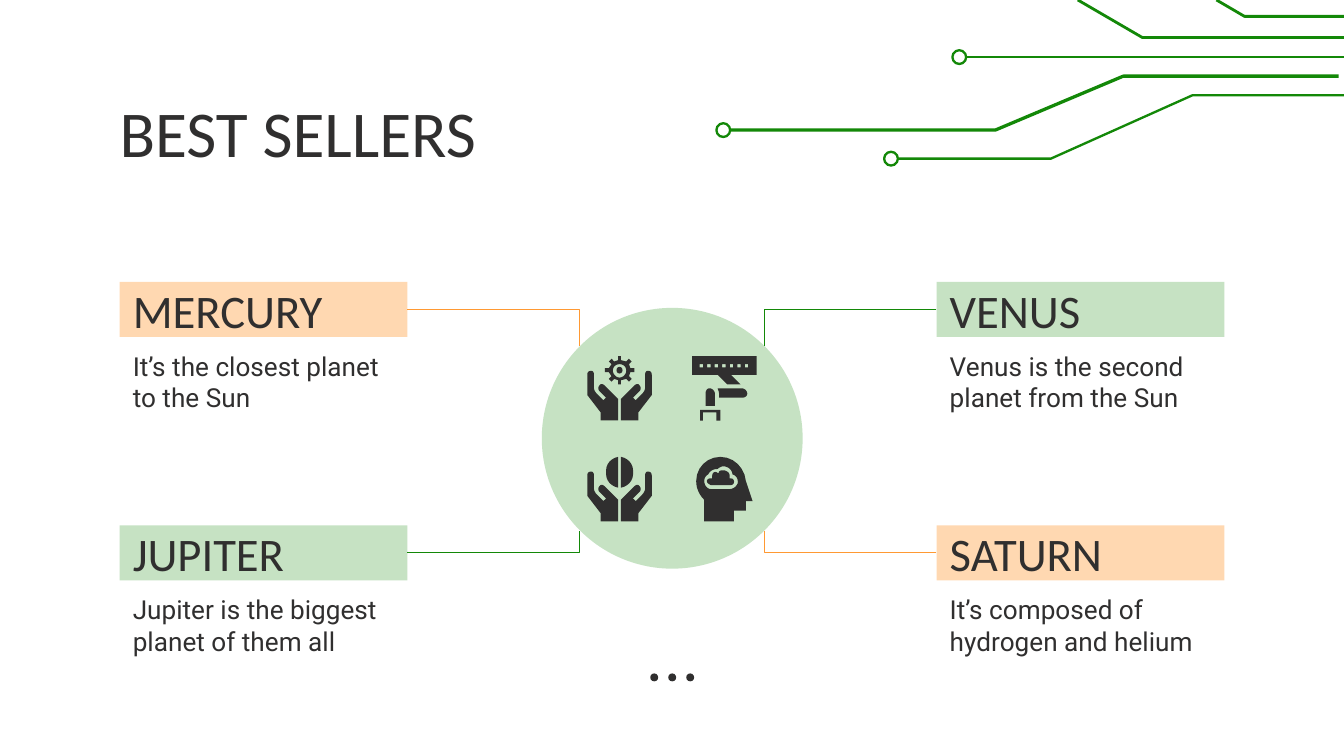
from lxml import etree
from pptx import Presentation
from pptx.dml.color import RGBColor
from pptx.enum.shapes import MSO_CONNECTOR as CONN, MSO_SHAPE as SHAPE
from pptx.enum.text import MSO_ANCHOR as ANCHOR
from pptx.oxml.ns import qn
from pptx.util import Cm, Pt

COLORS = {"ink": "302F2F", "green": "138808", "orange": "FF9933"}
ALPHA = {"green": 24, "orange": 38}
UNIT = 0.0254


def paint(sp, fill=None, alpha=None, line=None, width=1):
    sp.shadow.inherit = False
    if fill:
        sp.fill.solid()
        sp.fill.fore_color.rgb = RGBColor.from_string(COLORS[fill])
        if alpha:
            clr = sp._element.spPr.find(qn("a:solidFill"))[0]
            etree.SubElement(clr, qn("a:alpha")).set("val", str(alpha * 1000))
    else:
        sp.fill.background()
    if line:
        sp.line.color.rgb = RGBColor.from_string(COLORS[line])
        sp.line.width = Pt(width)
    else:
        sp.line.fill.background()


def draw_icon(outline, dy=0, mirror=None):
    contours = []
    for part in outline.split("M")[1:]:
        pts = []
        for step in part.replace("L", "|L").replace("C", "|C").split("|"):
            n = [float(v) for v in step.strip("LC ").split()]
            pairs = list(zip(n[::2], n[1::2]))
            if step.startswith("C"):
                a, (b, c, d) = pts[-1], pairs
                for t in (k / 6 for k in range(1, 7)):
                    u = 1 - t
                    pts.append(tuple(
                        u**3 * a[i] + 3 * u * u * t * b[i] + 3 * u * t * t * c[i] + t**3 * d[i]
                        for i in (0, 1)))
            else:
                pts += pairs
        contours.append([(Cm((mirror - x if mirror else x) * UNIT), Cm((y + dy) * UNIT))
                         for x, y in pts])
    fb = s.shapes.build_freeform(*contours[0][0], scale=1.0)
    fb.add_line_segments(contours[0][1:], close=True)
    for pts in contours[1:]:
        fb.move_to(*pts[0])
        fb.add_line_segments(pts[1:], close=True)
    paint(fb.convert_to_shape(), "ink")


prs = Presentation()
prs.slide_width, prs.slide_height = Cm(25.4), Cm(14.29)
s = prs.slides.add_slide(prs.slide_layouts[6])

for i in range(3):
    dot = s.shapes.add_shape(SHAPE.OVAL, Cm(12.29 + 0.34 * i), Cm(12.73), Cm(0.15), Cm(0.15))
    paint(dot, "ink")

traces = [
    (1.5, [(20.37, 0), (21.59, 0.71), (25.4, 0.71)]),
    (1.5, [(22.99, 0), (23.52, 0.31), (25.4, 0.31)]),
    (1.75, [(13.8, 2.46), (18.81, 2.46), (21.23, 1.44), (25.3, 1.44)]),
    (1.25, [(16.99, 3), (19.86, 3), (22.54, 1.8), (25.4, 1.8)]),
]
for width, pts in traces:
    pts = [(Cm(x), Cm(y)) for x, y in pts]
    fb = s.shapes.build_freeform(*pts[0], scale=1.0)
    fb.add_line_segments(pts[1:], close=False)
    paint(fb.convert_to_shape(), line="green", width=width)

for x, y in [(18.13, 1.08), (13.67, 2.46), (16.84, 3)]:
    ring = s.shapes.add_shape(SHAPE.OVAL, Cm(x - 0.13), Cm(y - 0.13), Cm(0.26), Cm(0.26))
    paint(ring, line="green", width=1.25)

circle = s.shapes.add_shape(SHAPE.OVAL, Cm(10.24), Cm(5.82), Cm(4.93), Cm(4.93))
paint(circle, "green", ALPHA["green"])

texts = [("BEST SELLERS", 2.01, 1.5, 21.41, 1.6, 35, "Calibri", None)]
links = [(18.26, 1.08, 25.4, 1.08, "green", 1.25, "line")]
planets = [
    ("MERCURY", "It’s the closest planet to the Sun", "orange"),
    ("VENUS", "Venus is the second planet from the Sun", "green"),
    ("JUPITER", "Jupiter is the biggest planet of them all", "green"),
    ("SATURN", "It’s composed of hydrogen and helium", "orange"),
]
for i, (name, fact, color) in enumerate(planets):
    row, col = divmod(i, 2)
    x, y = (2.26, 17.7)[col], (5.33, 9.93)[row]
    texts.append((name, x, y, 5.44, 1.04, 25, "Calibri", color))
    texts.append((fact, x, y + 1.04, 5.44, 1.35, 14, "Roboto", None))
    links.append(((7.7, 17.7)[col], y + 0.52, (10.95, 14.45)[col], (6.55, 10.03)[row],
                  color, 0.75, "bentConnector2"))

for text, x, y, w, h, size, font, color in texts:
    box = (Cm(x), Cm(y), Cm(w), Cm(h))
    if color:
        sp = s.shapes.add_shape(SHAPE.RECTANGLE, *box)
        paint(sp, color, ALPHA[color])
    else:
        sp = s.shapes.add_textbox(*box)
    tf = sp.text_frame
    tf.word_wrap = True
    tf.vertical_anchor = ANCHOR.MIDDLE if color else ANCHOR.TOP
    tf.margin_left = tf.margin_right = Cm(0.25)
    tf.margin_top = tf.margin_bottom = Cm(0 if color else 0.25)
    p = tf.paragraphs[0]
    p.alignment = 1
    r = p.add_run()
    r.text = text
    r.font.size = Pt(size)
    r.font.name = font
    r.font.color.rgb = RGBColor.from_string(COLORS["ink"])

hand = ("M440 351 C438 351 437 352 437 354 L437 369 L447 382 L447 388 L460 388 L460 372 "
        "L450 362 C449 361 447 360 446 362 C445 363 445 365 446 366 L451 371 L449 373 "
        "L444 368 C443 367 442 365 442 364 L442 354 C442 352 441 351 440 351")
half_pill = "M460 340 C455 341 451 345 451 350 L451 353 C451 358 455 362 460 363"
for mirror in (None, 922):
    draw_icon(half_pill, mirror=mirror)
    for dy in (0, -75):
        draw_icon(hand, dy, mirror)

draw_icon("M461 273 C458 273 458 278 461 278 C464 278 464 273 461 273")
draw_icon("M461 271 C464 271 466 273 466 276 C466 278 464 281 461 281 "
          "C458 281 456 278 456 276 C456 273 458 271 461 271 "
          "M460 265 L460 268 L457 269 L455 267 L453 269 L455 271 L453 274 L450 274 "
          "L450 277 L453 277 L455 280 L453 282 L455 284 L457 282 L460 283 L460 286 "
          "L462 286 L462 283 L466 282 L468 284 L470 282 L468 280 L469 277 L472 277 "
          "L472 274 L469 274 L468 271 L470 269 L468 267 L466 269 L462 268 L462 265")

draw_icon("M538 350 C537 350 536 350 535 351 L535 352 L534 352 C532 350 530 352 530 354 "
          "L530 356 L529 356 C527 356 526 357 526 358 C526 360 529 361 529 361 L544 361 "
          "C547 361 547 356 544 356 L543 356 L543 354 C543 352 541 350 538 350")
draw_icon("M538 347 C542 347 545 350 545 353 C548 354 549 356 549 359 C549 361 546 364 543 364 "
          "L529 364 C526 364 524 361 524 358 C524 356 525 354 527 353 C528 351 530 349 534 349 "
          "C535 348 537 347 538 347 "
          "M536 340 C526 340 518 348 518 358 C518 363 520 368 524 372 L524 388 L546 388 "
          "L546 380 L555 380 L555 373 L560 373 L555 358 C554 348 546 340 536 340")

windows = " ".join(f"M{x} 271 L{x + 2.5} 271 L{x + 2.5} 273.5 L{x} 273.5"
                   for x in (520.6 + 5.6 * i for i in range(7)))
draw_icon("M515 265 L515 279 L534 279 L541 286 L551 286 L544 279 L563 279 L563 265 " + windows)
draw_icon("M521 305 L521 313 L523 313 L523 307 L533 307 L533 313 L536 313 L536 305")
draw_icon("M534 289 C534 290 535 291 535 293 L535 296 L552 296 "
          "C554 296 556 295 556 293 C556 291 554 289 552 289")
draw_icon("M528 289 C526 289 525 291 525 293 L525 302 L532 302 L532 293 C532 291 530 289 528 289")

for x1, y1, x2, y2, color, width, preset in links:
    c = s.shapes.add_connector(CONN.ELBOW, Cm(x1), Cm(y1), Cm(x2), Cm(y2))
    c.line.color.rgb = RGBColor.from_string(COLORS[color])
    c.line.width = Pt(width)
    sp_pr = c._element.spPr
    sp_pr.find(qn("a:prstGeom")).set("prst", preset)
    etree.SubElement(sp_pr, qn("a:effectLst"))

prs.save("out.pptx")
